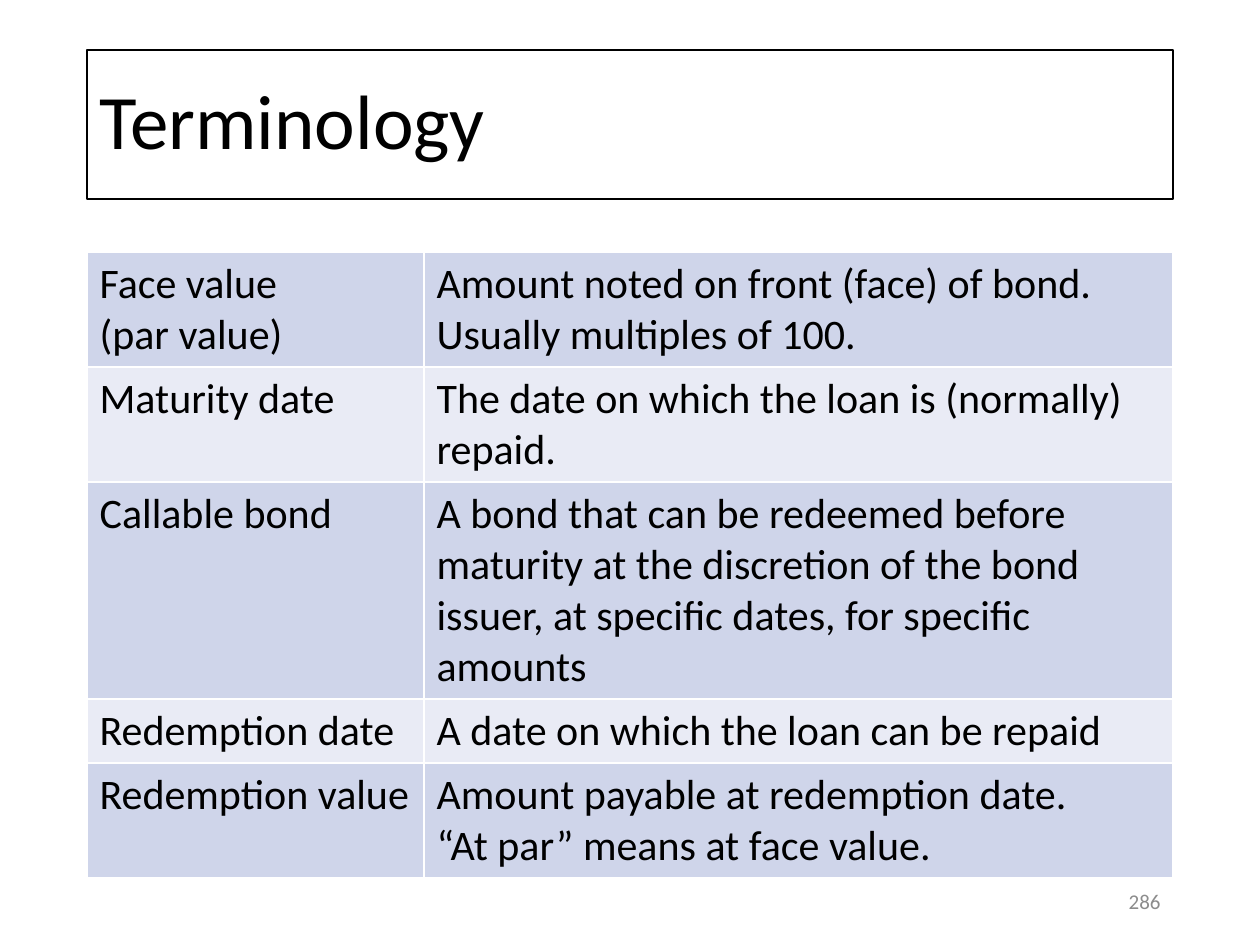
"""Builds the bond terminology slide."""
from dataclasses import dataclass

from lxml import etree
from pptx import Presentation
from pptx.dml.color import RGBColor
from pptx.enum.text import MSO_ANCHOR, PP_ALIGN
from pptx.oxml.ns import qn
from pptx.util import Emu, Pt

PX = 914400 // 126


@dataclass(frozen=True)
class Theme:
    font: str = "Calibri"
    ink: str = "000000"
    muted: str = "8C8C8C"
    border: str = "FFFFFF"
    bands: tuple = ("CFD5EA", "E9EBF5")
    title_size: int = 44
    body_size: int = 24
    number_size: int = 12


class SlideBuilder:
    def __init__(self, slide, theme):
        self.slide = slide
        self.theme = theme

    def place(self, shape, box):
        shape.left, shape.top, shape.width, shape.height = (Emu(v * PX) for v in box)

    def set_text(self, frame, text, size, color, align=PP_ALIGN.LEFT):
        frame.text = text
        for paragraph in frame.paragraphs:
            paragraph.alignment = align
            for run in paragraph.runs:
                run.font.name = self.theme.font
                run.font.size = Pt(size)
                run.font.color.rgb = RGBColor.from_string(color)

    def title(self, text, box):
        shape = self.slide.shapes.title
        self.place(shape, box)
        shape.line.color.rgb = RGBColor.from_string(self.theme.ink)
        shape.line.width = Pt(0.75)
        frame = shape.text_frame
        self.set_text(frame, text, self.theme.title_size, self.theme.ink)
        frame.vertical_anchor = MSO_ANCHOR.MIDDLE
        frame.paragraphs[0].line_spacing = 0.9

    def page_number(self, text, box):
        shape = self.slide.shapes.add_textbox(*(Emu(v * PX) for v in box))
        frame = shape.text_frame
        frame.word_wrap = True
        frame.vertical_anchor = MSO_ANCHOR.MIDDLE
        self.set_text(frame, text, self.theme.number_size, self.theme.muted, PP_ALIGN.RIGHT)

    def borders(self, cell):
        properties = cell._tc.get_or_add_tcPr()
        for index, side in enumerate(("lnL", "lnR", "lnT", "lnB")):
            line = etree.Element(qn(f"a:{side}"), w=str(Pt(1)))
            fill = etree.SubElement(line, qn("a:solidFill"))
            etree.SubElement(fill, qn("a:srgbClr"), val=self.theme.border)
            properties.insert(index, line)

    def table(self, rows, left, top, widths, heights):
        box = (left, top, sum(widths), sum(heights))
        table = self.slide.shapes.add_table(
            len(rows), len(widths), *(Emu(v * PX) for v in box)).table
        table.first_row = False
        for column, width in zip(table.columns, widths):
            column.width = Emu(width * PX)
        for r, (texts, height) in enumerate(zip(rows, heights)):
            table.rows[r].height = Emu(height * PX)
            for c, text in enumerate(texts):
                cell = table.cell(r, c)
                self.set_text(cell.text_frame, text, self.theme.body_size, self.theme.ink)
                cell.fill.solid()
                cell.fill.fore_color.rgb = RGBColor.from_string(self.theme.bands[r % 2])
                self.borders(cell)


TERMS = [
    ("Face value\v(par value)",
     "Amount noted on front (face) of bond. Usually multiples of 100."),
    ("Maturity date", "The date on which the loan is (normally) repaid."),
    ("Callable bond",
     "A bond that can be redeemed before maturity at the discretion of the bond "
     "issuer, at specific dates, for specific amounts"),
    ("Redemption date", "A date on which the loan can be repaid"),
    ("Redemption value",
     "Amount payable at redemption date.\v“At par” means at face value."),
]

deck = Presentation()
deck.slide_width, deck.slide_height = Emu(1260 * PX), Emu(945 * PX)
builder = SlideBuilder(deck.slides.add_slide(deck.slide_layouts[5]), Theme())
builder.title("Terminology", (87, 50, 1086, 149))
builder.page_number("286", (890, 876, 283, 50))
builder.table(TERMS, 87, 252, (337, 749), (115, 115, 217, 64, 115))
deck.save("out.pptx")
